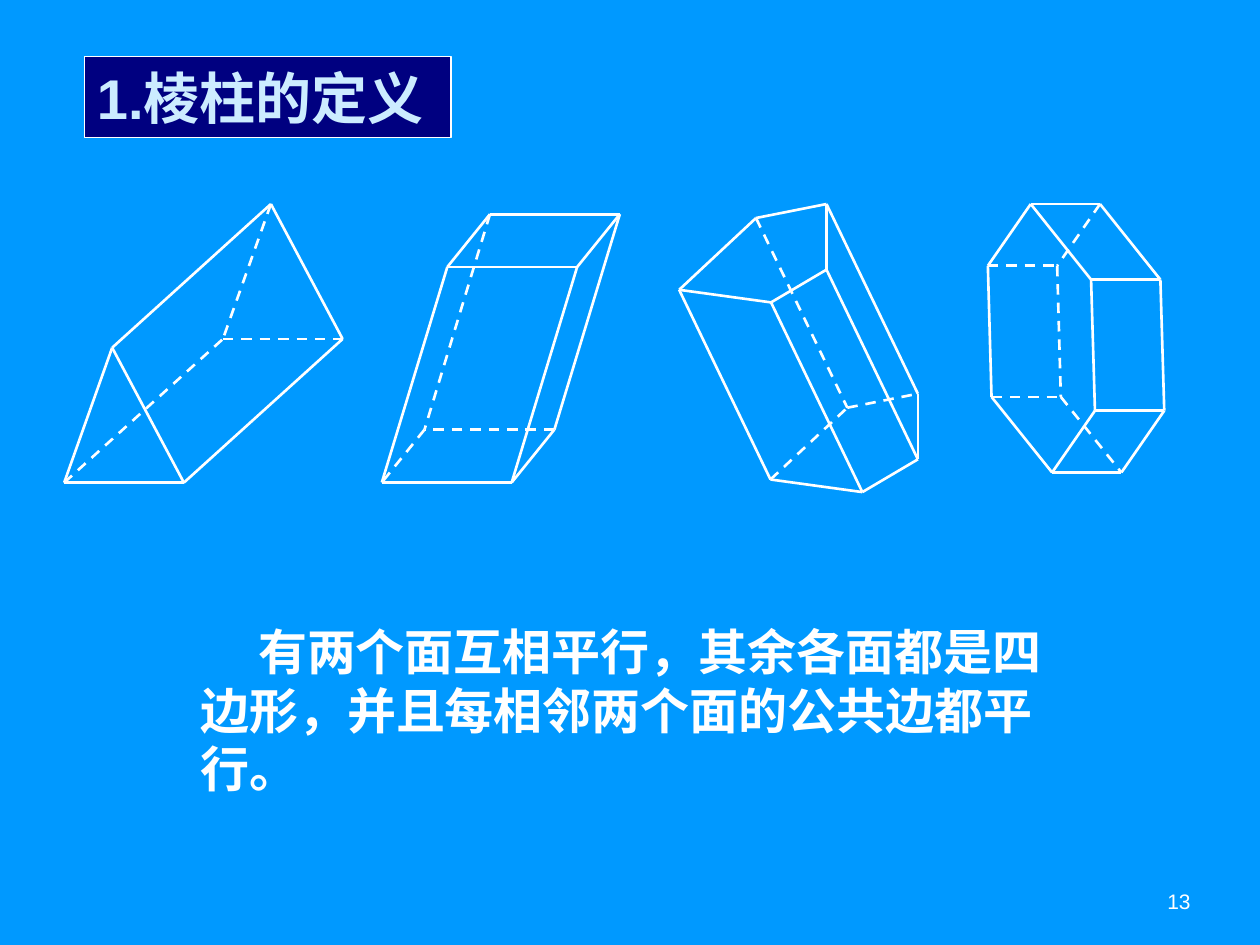
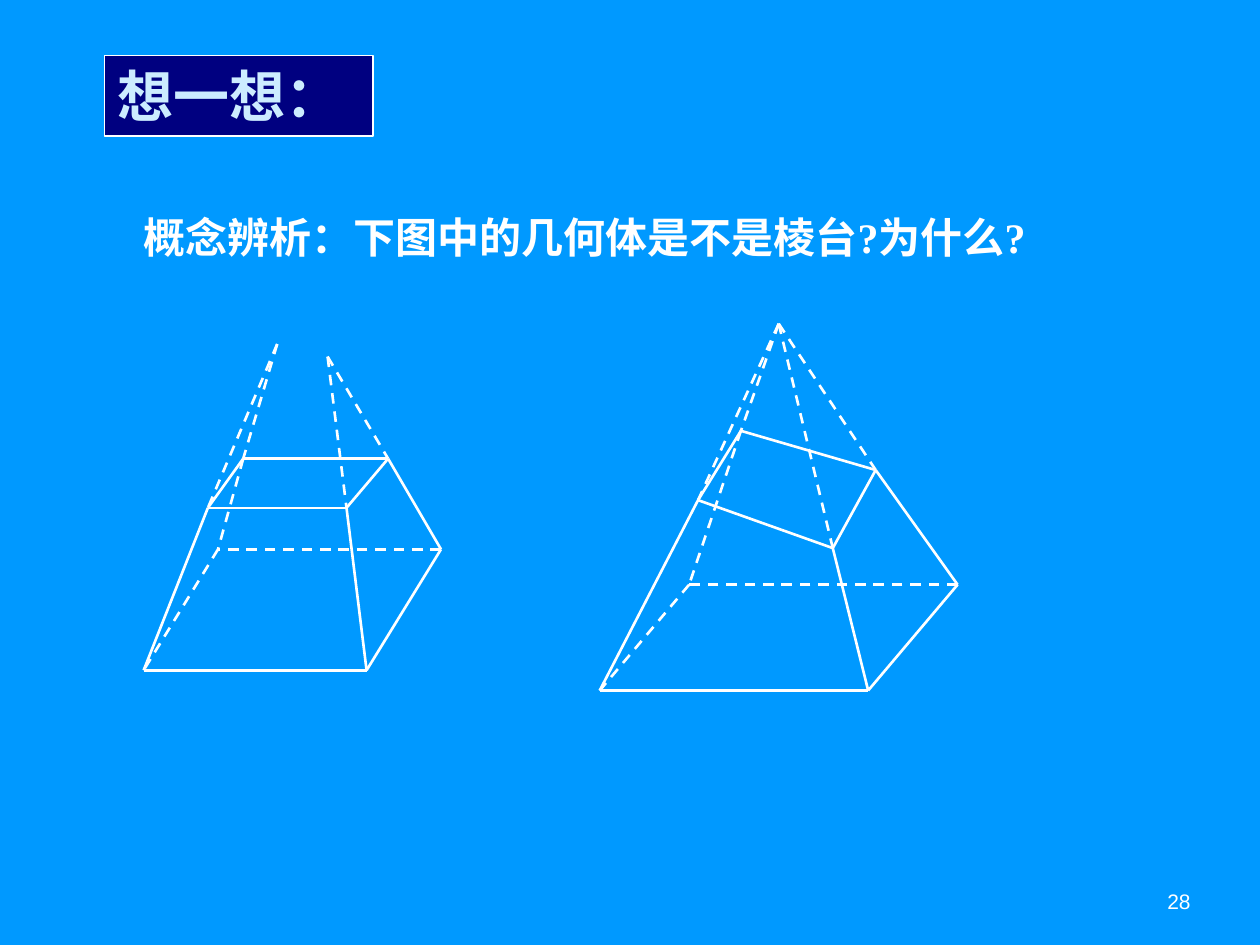
from pptx import Presentation
from pptx.dml.color import RGBColor
from pptx.enum.dml import MSO_LINE
from pptx.enum.shapes import MSO_CONNECTOR
from pptx.enum.text import MSO_ANCHOR, MSO_AUTO_SIZE, PP_ALIGN
from pptx.oxml.ns import qn
from pptx.util import Pt
from lxml.etree import SubElement

COLORS = {"background": "0099FF", "band": "000080", "title": "CCECFF", "white": "FFFFFF"}
LATIN, SERIF, CHINESE = "Arial", "Times New Roman", "Noto Sans CJK JP"


def rgb(name):
    return RGBColor.from_string(COLORS[name])


def shifted(points, shift):
    return [(x + shift[0], y + shift[1]) for x, y in points]


class GeometryDeck:
    def __init__(self):
        self.presentation = Presentation()
        self.presentation.slide_width = Pt(720)
        self.presentation.slide_height = Pt(540)
        fill = self.presentation.slide_master.background.fill
        fill.solid()
        fill.fore_color.rgb = rgb("background")
        self.slide = None

    def add_slide(self, number):
        self.slide = self.presentation.slides.add_slide(self.presentation.slide_layouts[1])
        shape = self.slide.shapes.add_textbox(0, 0, 0, 0)
        self.place(shape, (516.2, 500.4, 167.8, 28.8), 3.6)
        shape.text_frame.vertical_anchor = MSO_ANCHOR.MIDDLE
        self.fill_text(shape, [(str(number), LATIN)], 12, "white", bold=False)
        shape.text_frame.paragraphs[0].alignment = PP_ALIGN.RIGHT

    def place(self, shape, box, inset=7.2, wrap=True):
        shape.left, shape.top, shape.width, shape.height = (Pt(length) for length in box)
        frame = shape.text_frame
        frame.auto_size = MSO_AUTO_SIZE.NONE
        frame.word_wrap = wrap
        frame.vertical_anchor = MSO_ANCHOR.TOP
        frame.margin_left = frame.margin_right = Pt(inset)
        frame.margin_top = frame.margin_bottom = Pt(3.6)

    def fill_text(self, shape, pieces, size, color, bold=True, indent=0):
        paragraph = shape.text_frame.paragraphs[0]
        properties = paragraph._p.get_or_add_pPr()
        properties.set("marL", "0")
        properties.set("indent", str(Pt(indent)))
        SubElement(properties, qn("a:buNone"))
        paragraph.alignment = PP_ALIGN.LEFT
        paragraph.space_before = Pt(0)
        paragraph.line_spacing = Pt(size * 1.2)
        for text, font_name in pieces:
            run = paragraph.add_run()
            run.text = text
            run.font.size = Pt(size)
            run.font.bold = bold
            run.font.color.rgb = rgb(color)
            run.font.name = font_name
            SubElement(run._r.get_or_add_rPr(), qn("a:ea")).set("typeface", CHINESE)

    def title(self, text, box):
        shape = self.slide.shapes.title
        self.place(shape, box)
        shape.fill.solid()
        shape.fill.fore_color.rgb = rgb("band")
        shape.line.color.rgb = rgb("white")
        shape.line.width = Pt(0.75)
        self.fill_text(shape, [(text, LATIN)], 32, "title")

    def body(self, pieces, box, size, wrap=True, indent=0):
        shape = self.slide.placeholders[1]
        self.place(shape, box, wrap=wrap)
        self.fill_text(shape, pieces, size, "white", indent=indent)

    def edge(self, start, end, dashed=False):
        ends = (Pt(length) for length in (*start, *end))
        connector = self.slide.shapes.add_connector(MSO_CONNECTOR.STRAIGHT, *ends)
        connector.line.color.rgb = rgb("white")
        connector.line.width = Pt(1.5)
        if dashed:
            connector.line.dash_style = MSO_LINE.DASH
        SubElement(connector._element.spPr, qn("a:effectLst"))

    def solid(self, near_face, far_face, hidden):
        count = len(near_face)
        for index in range(count):
            following = (index + 1) % count
            self.edge(near_face[index], near_face[following])
            self.edge(far_face[index], far_face[following], index in hidden or following in hidden)
            self.edge(near_face[index], far_face[index], index in hidden)

    def prism(self, face, shift, hidden):
        self.solid(face, shifted(face, shift), hidden)

    def truncated_pyramid(self, top, bottom, apexes):
        self.solid(top, bottom, {3})
        for corner, apex in zip(top, apexes):
            self.edge(apex, corner, dashed=True)


def build_definition(deck):
    deck.add_slide(13)
    deck.title("1.棱柱的定义", (48.2, 32.4, 209.5, 46))
    triangle = [(36.7, 275.8), (105.1, 275.8), (64.1, 198.7)]
    parallelogram = [(255.6, 152.6), (329.8, 152.6), (354.2, 122.4), (280, 122.4)]
    pentagon = [(388.1, 165.6), (432, 124.6), (472.3, 116.6), (472.3, 154.1), (440.6, 172.8)]
    hexagon = [(589, 116.6), (564.5, 151.9), (566.6, 226.8),
               (601.2, 270), (625.7, 234.7), (623.5, 159.8)]
    deck.prism(triangle, (90.7, -82.1), {0})
    deck.prism(parallelogram, (-37.4, 123.1), {3})
    deck.prism(pentagon, (52.2, 108.4), {1})
    deck.prism(hexagon, (39.6, 0), {1, 2})
    definition = "有两个面互相平行，其余各面都是四边形，并且每相邻两个面的公共边都平行。"
    deck.body([(definition, CHINESE)], (107.3, 351.4, 496, 108), 28, indent=33)


def build_question(deck):
    deck.add_slide(28)
    deck.title("想一想：", (59.8, 31.7, 153.4, 46))
    question = [("概念辨析", LATIN), ("：", SERIF), ("下图中的几何体是不是棱台", LATIN),
                ("?", SERIF), ("为什么", LATIN), ("?", SERIF)]
    deck.body(question, (74.9, 117.4, 535.7, 36), 24, wrap=False)
    left_apex, right_apex, common_apex = (158.4, 196.6), (187.2, 203.8), (445, 185)
    deck.truncated_pyramid(
        [(118.8, 290.2), (198, 290.2), (221.8, 262.1), (139, 262.1)],
        [(82.1, 383), (209.5, 383), (252, 313.9), (124.6, 313.9)],
        [left_apex, right_apex, right_apex, left_apex])
    deck.truncated_pyramid(
        [(398.9, 285.8), (475.9, 313.2), (500.4, 268.6), (423.4, 246.2)],
        [(342.7, 394.6), (496.1, 394.6), (547.2, 334.1), (393.8, 334.1)],
        [common_apex] * 4)


def main():
    deck = GeometryDeck()
    build_definition(deck)
    build_question(deck)
    deck.presentation.save("out.pptx")


if __name__ == "__main__":
    main()
